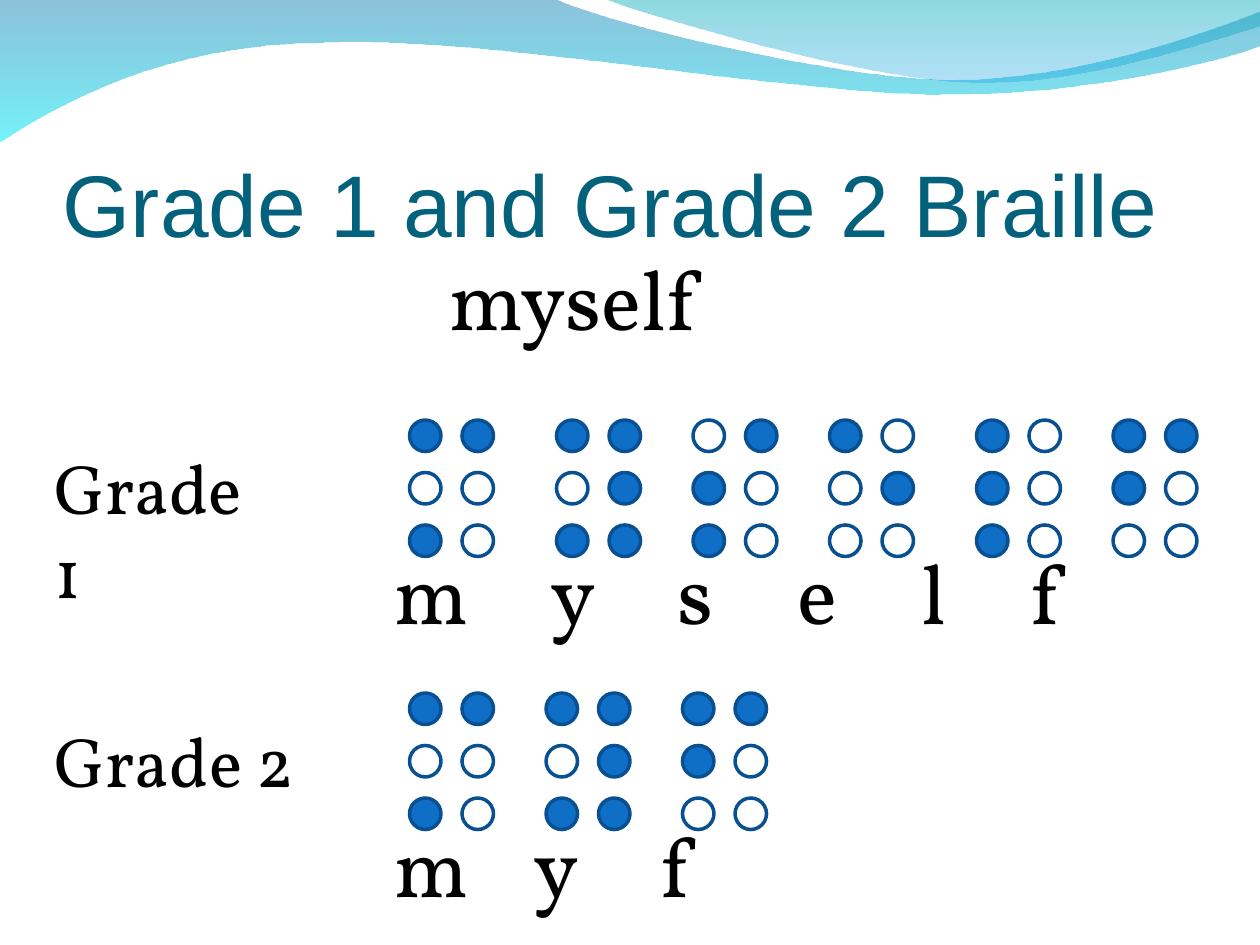
from lxml import etree
from pptx import Presentation
from pptx.dml.color import RGBColor
from pptx.enum.shapes import MSO_SHAPE
from pptx.enum.text import MSO_ANCHOR, PP_ALIGN
from pptx.oxml.ns import qn
from pptx.util import Pt

OVAL = MSO_SHAPE.OVAL
TOP, BOTTOM = MSO_ANCHOR.TOP, MSO_ANCHOR.BOTTOM
LEFT, CENTER = PP_ALIGN.LEFT, PP_ALIGN.CENTER

COLORS = {"title": "04617B", "text": "000000", "dot": "0F6FC6", "ring": "085091"}
HEAD_FONT, BODY_FONT = "Arial", "Vollkorn"

TITLE = "Grade 1 and Grade 2 Braille"
WORD = "myself"
BRAILLE_DOTS = {"m": (1, 3, 4), "y": (1, 3, 4, 5, 6), "s": (2, 3, 4),
                "e": (1, 5), "l": (1, 2, 3), "f": (1, 2, 4)}
# Tab stops are measured from the first letter.
ROWS = [
    {"label": "Grade 1", "letters": "myself", "top": 240, "label_width": 144,
     "cells": (234, 318, 396, 474, 558, 636), "letters_width": 522,
     "tabs": (89, 161.5, 230, 301, 363.5)},
    {"label": "Grade 2", "letters": "myf", "top": 396, "label_width": 156,
     "cells": (234, 312, 390), "letters_width": 258, "tabs": (79.5, 152)},
]
DOT_SIZE, DOT_STEP = 18, 30

# Each segment is one end point, or two control points and an end point.
WAVES = [
    {"start": (0, -0.7),
     "segments": [[(316.8, -0.7)],
                  [(342.7, 12.2), (478.1, 45.4), (545.8, 45.4)],
                  [(614.2, 45.4), (689.8, 18.7), (720, 6.5)],
                  [(720.7, 25.9)],
                  [(707.8, 31.7), (626.4, 54.7), (537.1, 54)],
                  [(447.8, 54), (275, 20.2), (185, 24.5)],
                  [(92.9, 25.2), (33.1, 59.8), (-0.7, 81.4)],
                  [(0, -0.7)]],
     "stops": [("0079AF", 45), ("00EBF8", 55)]},
    {"start": (344.9, -0.7),
     "segments": [[(366.5, 7.9), (491, 44.6), (553.7, 46.8)],
                  [(616.3, 49.7), (691.9, 23), (720, 15.1)],
                  [(720, 0)],
                  [(344.9, -0.7)]],
     "stops": [("00ADB6", 45), ("009BE5", 30)]},
]
UNITS_PER_POINT = 100


def rgb(name):
    return RGBColor.from_string(COLORS[name])


def to_units(point):
    return tuple(round(value * UNITS_PER_POINT) for value in point)


def bend_segments(shape, segments):
    """Turn each run of three straight lines that stands for a curve into one."""
    lines = iter(list(shape.element.iter(qn("a:lnTo"))))
    for segment in segments:
        parts = [next(lines) for point in segment]
        if len(parts) == 3:
            curve = etree.Element(qn("a:cubicBezTo"))
            parts[0].addprevious(curve)
            for part in parts:
                curve.append(part[0])
                part.getparent().remove(part)


def add_wave(page, wave):
    builder = page.shapes.build_freeform(*to_units(wave["start"]),
                                         scale=Pt(1) / UNITS_PER_POINT)
    points = [to_units(point) for segment in wave["segments"] for point in segment]
    builder.add_line_segments(points, close=True)
    shape = builder.convert_to_shape()
    bend_segments(shape, wave["segments"])
    shape.shadow.inherit = False
    shape.line.fill.background()
    shape.fill.gradient()
    shape.fill.gradient_angle = 270
    for stop, (color, opacity) in zip(shape.fill.gradient_stops, wave["stops"]):
        stop.color.rgb = RGBColor.from_string(color)
    for element, (color, opacity) in zip(shape.element.iter(qn("a:srgbClr")), wave["stops"]):
        etree.SubElement(element, qn("a:alpha"), val=str(opacity * 1000))


def add_text(page, text, place, size, font=BODY_FONT, color="text", anchor=TOP,
             align=LEFT, margins=(7.2, 3.6, 7.2, 3.6), spaced=False):
    """Margins run left, top, right, bottom."""
    box = page.shapes.add_textbox(*map(Pt, place))
    frame = box.text_frame
    frame.word_wrap = True
    frame.vertical_anchor = anchor
    (frame.margin_left, frame.margin_top,
     frame.margin_right, frame.margin_bottom) = map(Pt, margins)
    frame.text = text
    para = frame.paragraphs[0]
    para.alignment = align
    if spaced:
        para.line_spacing = 0.9
        para.space_before = Pt(12)
    span = para.runs[0]
    span.font.name = font
    span.font.size = Pt(size)
    span.font.color.rgb = rgb(color)
    return para


def add_tabs(para, stops):
    tab_list = etree.SubElement(para._p.get_or_add_pPr(), qn("a:tabLst"))
    for stop in stops:
        etree.SubElement(tab_list, qn("a:tab"), pos=str(Pt(stop)), algn="l")


def add_cell(group, letter, left, top):
    """Six dots, numbered down the left column and then down the right."""
    for number in range(1, 7):
        column, line = divmod(number - 1, 3)
        dot = group.shapes.add_shape(OVAL, Pt(left + column * DOT_STEP),
                                     Pt(top + line * DOT_STEP), Pt(DOT_SIZE), Pt(DOT_SIZE))
        dot.shadow.inherit = False
        dot.line.color.rgb = rgb("ring")
        dot.line.width = Pt(2)
        if number in BRAILLE_DOTS[letter]:
            dot.fill.solid()
            dot.fill.fore_color.rgb = rgb("dot")
        else:
            dot.fill.background()


def add_row(page, row):
    group = page.shapes.add_group_shape()
    for letter, left in zip(row["letters"], row["cells"]):
        add_cell(group, letter, left, row["top"])
    add_text(page, row["label"], (24, row["top"] + 10.5, row["label_width"], 104), 40)
    para = add_text(page, "\t".join(row["letters"]),
                    (180, row["top"] + 72, row["letters_width"], 60), 48,
                    margins=(45.5, 3.6, 7.2, 3.6), spaced=True)
    add_tabs(para, row["tabs"])


def main():
    deck = Presentation()
    deck.slide_width, deck.slide_height = Pt(720), Pt(540)
    page = deck.slides.add_slide(deck.slide_layouts[6])
    for wave in WAVES:
        add_wave(page, wave)
    add_text(page, TITLE, (36, 55.5, 648, 90), 50, HEAD_FONT, "title", BOTTOM,
             margins=(0, 3.6, 0, 0))
    add_text(page, WORD, (204, 144, 246, 60), 48, align=CENTER, spaced=True)
    for row in ROWS:
        add_row(page, row)
    deck.save("out.pptx")


if __name__ == "__main__":
    main()
